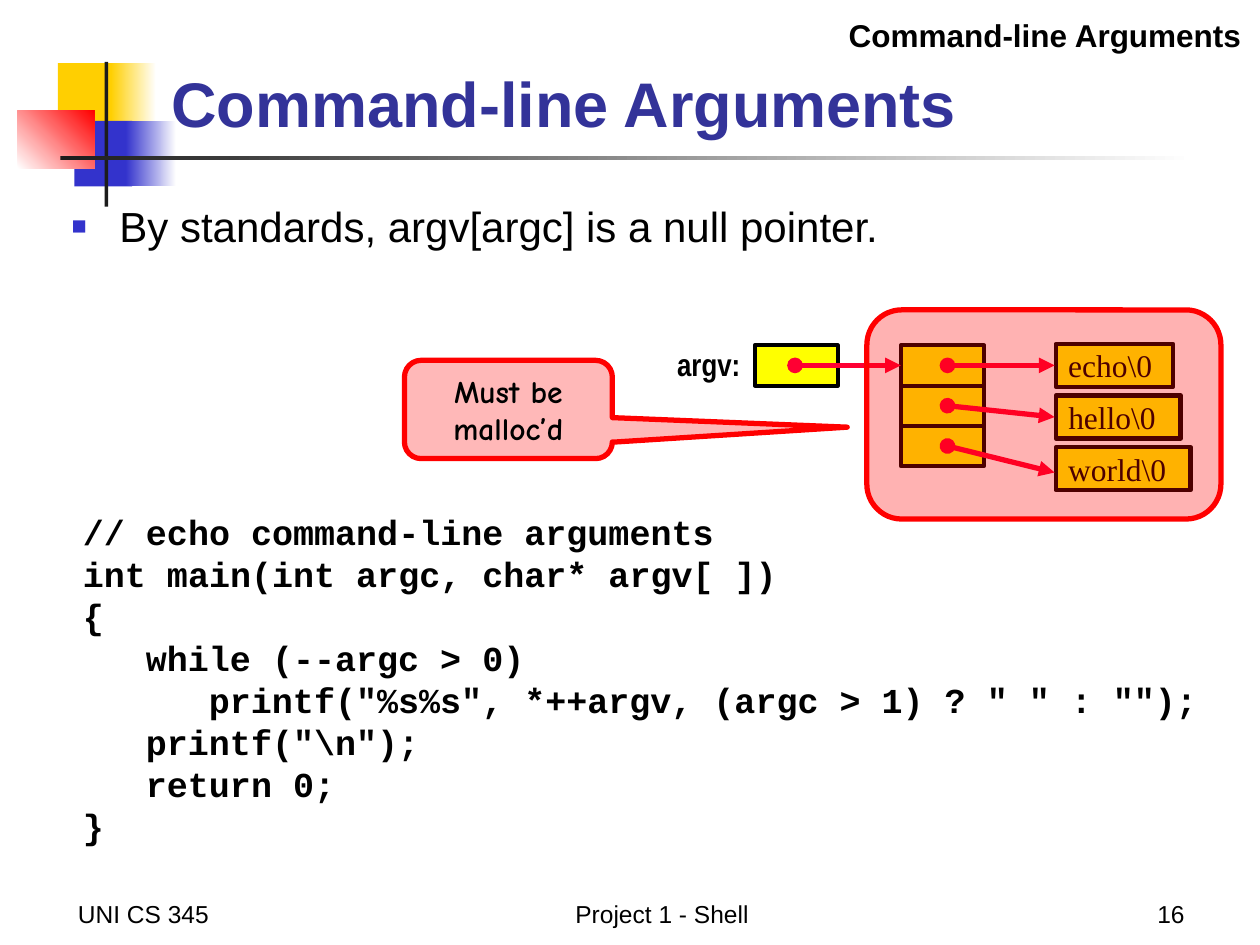
from dataclasses import dataclass

from lxml.etree import SubElement
from pptx import Presentation
from pptx.dml.color import RGBColor
from pptx.enum.shapes import MSO_CONNECTOR, MSO_SHAPE
from pptx.enum.text import MSO_ANCHOR, MSO_AUTO_SIZE, PP_ALIGN
from pptx.oxml.ns import qn
from pptx.util import Inches, Pt


@dataclass(frozen=True)
class Theme:
    """Colours, typefaces and type sizes of the slide."""
    black: str = "000000"
    white: str = "FFFFFF"
    gold: str = "FFCF01"
    blue: str = "3333CC"
    title_blue: str = "333399"
    red: str = "FF0000"
    arrow_red: str = "FF0033"
    yellow: str = "FFFF00"
    charcoal: str = "1C1C1C"
    sans: str = "Arial"
    narrow: str = "Arial Narrow"
    serif: str = "Times New Roman"
    code: str = "Courier New"
    comic: str = "Comic Neue"
    title_size: int = 36
    body_size: int = 24
    code_size: int = 20
    label_size: int = 18
    footer_size: int = 14


class SlideBuilder:
    """Draws styled elements on one slide."""

    def __init__(self, slide, theme):
        """Keep the slide and its theme."""
        self.slide = slide
        self.theme = theme

    def set_text(self, shape, text, size, font=None, color=None, bold=False,
                 align=PP_ALIGN.LEFT, anchor=MSO_ANCHOR.TOP, wrap=True):
        """Set the text of a shape and format its runs."""
        frame = shape.text_frame
        frame.text = text
        frame.word_wrap = wrap
        frame.auto_size = MSO_AUTO_SIZE.NONE
        frame.vertical_anchor = anchor
        for paragraph in frame.paragraphs:
            paragraph.alignment = align
            for run in paragraph.runs:
                run.font.name = font or self.theme.sans
                run.font.size = Pt(size)
                run.font.bold = bold
                run.font.color.rgb = RGBColor.from_string(color or self.theme.black)
        return frame

    def title(self, text, left, top, width, height):
        """Place and format the title placeholder."""
        shape = self.slide.shapes.title
        shape.left, shape.top = Inches(left), Inches(top)
        shape.width, shape.height = Inches(width), Inches(height)
        self.set_text(shape, text, self.theme.title_size, color=self.theme.title_blue,
                      bold=True, anchor=MSO_ANCHOR.BOTTOM)

    def text(self, text, left, top, width, height, size, **style):
        """Add a text box."""
        shape = self.slide.shapes.add_textbox(
            Inches(left), Inches(top), Inches(width), Inches(height))
        return self.set_text(shape, text, size, **style)

    def bullet(self, text, left, top, width, height):
        """Add a text box with one square-bulleted paragraph."""
        frame = self.text(text, left, top, width, height, self.theme.body_size)
        paragraph = frame.paragraphs[0]
        paragraph.space_before = Pt(5)
        properties = paragraph._p.get_or_add_pPr()
        properties.set("marL", str(Inches(0.38)))
        properties.set("indent", str(-Inches(0.38)))
        color = SubElement(properties, qn("a:buClr"))
        SubElement(color, qn("a:srgbClr"), val=self.theme.blue)
        SubElement(properties, qn("a:buSzPct"), val="60000")
        SubElement(properties, qn("a:buFont"), typeface=self.theme.sans)
        SubElement(properties, qn("a:buChar"), char="■")

    def code(self, lines, left, top, width, height):
        """Add code given as pairs of indent level and text."""
        frame = self.text("\n".join(text for _, text in lines), left, top, width, height,
                          self.theme.code_size, font=self.theme.code, bold=True)
        for paragraph, (level, _) in zip(frame.paragraphs, lines):
            paragraph._p.get_or_add_pPr().set("marL", str(Inches(0.5 * level)))

    def shape(self, left, top, width, height, fill, line=None, line_width=0,
              kind=MSO_SHAPE.RECTANGLE, opacity=None):
        """Add a solid preset shape, optionally outlined or translucent."""
        shape = self.slide.shapes.add_shape(
            kind, Inches(left), Inches(top), Inches(width), Inches(height))
        shape.shadow.inherit = False
        shape.fill.solid()
        shape.fill.fore_color.rgb = RGBColor.from_string(fill)
        if opacity is not None:
            color = shape._element.spPr.find(qn("a:solidFill"))[0]
            SubElement(color, qn("a:alpha"), val=str(opacity * 1000))
        if line:
            shape.line.color.rgb = RGBColor.from_string(line)
            shape.line.width = Pt(line_width)
        else:
            shape.line.fill.background()
        return shape

    def gradient(self, left, top, width, height, start, end, angle=0):
        """Add a rectangle with a two-colour gradient."""
        shape = self.shape(left, top, width, height, start)
        shape.fill.gradient()
        shape.fill.gradient_angle = angle
        for stop, color in zip(shape.fill.gradient_stops, (start, end)):
            stop.color.rgb = RGBColor.from_string(color)

    def cell(self, left, top):
        """Add one pointer cell."""
        self.shape(left, top, 0.66, 0.32, self.theme.yellow, self.theme.black, 2.25)

    def string_box(self, text, left, top, width):
        """Add a box that holds a string."""
        shape = self.shape(left, top, width, 0.34, self.theme.yellow, self.theme.black, 2.5)
        frame = self.set_text(shape, text, self.theme.label_size, font=self.theme.serif,
                              anchor=MSO_ANCHOR.MIDDLE, wrap=False)
        frame.margin_top = frame.margin_bottom = 0

    def pointer(self, start_x, start_y, end_x, end_y):
        """Add an arrow that starts with a dot."""
        connector = self.slide.shapes.add_connector(
            MSO_CONNECTOR.STRAIGHT, Inches(start_x), Inches(start_y),
            Inches(end_x), Inches(end_y))
        connector.line.color.rgb = RGBColor.from_string(self.theme.arrow_red)
        connector.line.width = Pt(3)
        properties = connector._element.spPr
        line = properties.find(qn("a:ln"))
        SubElement(line, qn("a:headEnd"), type="oval")
        SubElement(line, qn("a:tailEnd"), type="triangle")
        SubElement(properties, qn("a:effectLst"))

    def callout(self, text, left, top, width, height, adjustments):
        """Add a translucent speech callout."""
        shape = self.shape(left, top, width, height, self.theme.red, self.theme.red, 3,
                           MSO_SHAPE.ROUNDED_RECTANGULAR_CALLOUT, 28)
        for index, value in enumerate(adjustments):
            shape.adjustments[index] = value
        self.set_text(shape, text, self.theme.label_size, font=self.theme.comic, bold=True,
                      align=PP_ALIGN.CENTER, anchor=MSO_ANCHOR.MIDDLE, wrap=False)


def main():
    """Build the slide and save it."""
    presentation = Presentation()
    presentation.slide_width, presentation.slide_height = Inches(10), Inches(7.5)
    theme = Theme()
    builder = SlideBuilder(presentation.slides.add_slide(presentation.slide_layouts[5]), theme)

    builder.shape(0.46, 0.5, 0.48, 0.52, theme.gold)
    builder.gradient(0.88, 0.5, 0.36, 0.52, theme.gold, theme.white)
    builder.shape(0.59, 0.96, 0.46, 0.52, theme.blue)
    builder.gradient(1, 0.96, 0.4, 0.52, theme.blue, theme.white)
    builder.gradient(0.14, 0.88, 0.61, 0.46, theme.white, theme.red, 45)
    builder.shape(0.83, 0.49, 0.03, 1.15, theme.charcoal)
    builder.gradient(0.48, 1.24, 9, 0.03, theme.charcoal, theme.white)

    for text, left, width, align in (
            ("UNI CS 345", 0.52, 2.08, PP_ALIGN.LEFT),
            ("Project 1 - Shell", 3.67, 3.17, PP_ALIGN.CENTER),
            ("16", 7.42, 2.08, PP_ALIGN.RIGHT)):
        builder.text(text, left, 6.92, width, 0.5, theme.footer_size,
                     align=align, anchor=MSO_ANCHOR.BOTTOM)

    builder.title("Command-line Arguments", 1.26, 0.21, 8.52, 0.95)
    builder.bullet("By standards, argv[argc] is a null pointer.", 0.47, 1.54, 8.93, 0.79)

    builder.cell(5.99, 2.74)
    strings = (("echo\\0", 0.93), ("hello\\0", 0.99), ("world\\0", 1.07))
    for row, (text, width) in enumerate(strings):
        builder.string_box(text, 8.38, 2.73 + 0.41 * row, width)
        builder.cell(7.15, 2.74 + 0.32 * row)
    builder.text("argv:", 5.26, 2.69, 0.73, 0.4, theme.label_size, font=theme.narrow,
                 bold=True, align=PP_ALIGN.CENTER, wrap=False)
    builder.pointer(6.31, 2.9, 7.15, 2.9)
    for row, end_y in enumerate((2.9, 3.31, 3.75)):
        builder.pointer(7.52, 2.9 + 0.32 * row, 8.37, end_y)

    builder.code((
        (0, "// echo command-line arguments"),
        (0, "int main(int argc, char* argv[ ])"),
        (0, "{"),
        (1, "while (--argc > 0)"),
        (2, 'printf("%s%s", *++argv, (argc > 1) ? " " : "");'),
        (1, 'printf("\\n");'),
        (1, "return 0;"),
        (0, "}"),
    ), 0.56, 4, 9.28, 2.77)
    builder.text("Command-line Arguments", 5.93, 0.08, 4.02, 0.4, theme.label_size,
                 bold=True, align=PP_ALIGN.RIGHT)

    builder.shape(6.88, 2.46, 2.81, 1.66, theme.red, theme.red, 3,
                  MSO_SHAPE.ROUNDED_RECTANGLE, 30)
    builder.callout("Must be\nmalloc’d", 3.21, 2.86, 1.65, 0.78, (1.63, 0.18, 0.17))
    presentation.save("out.pptx")


if __name__ == "__main__":
    main()
